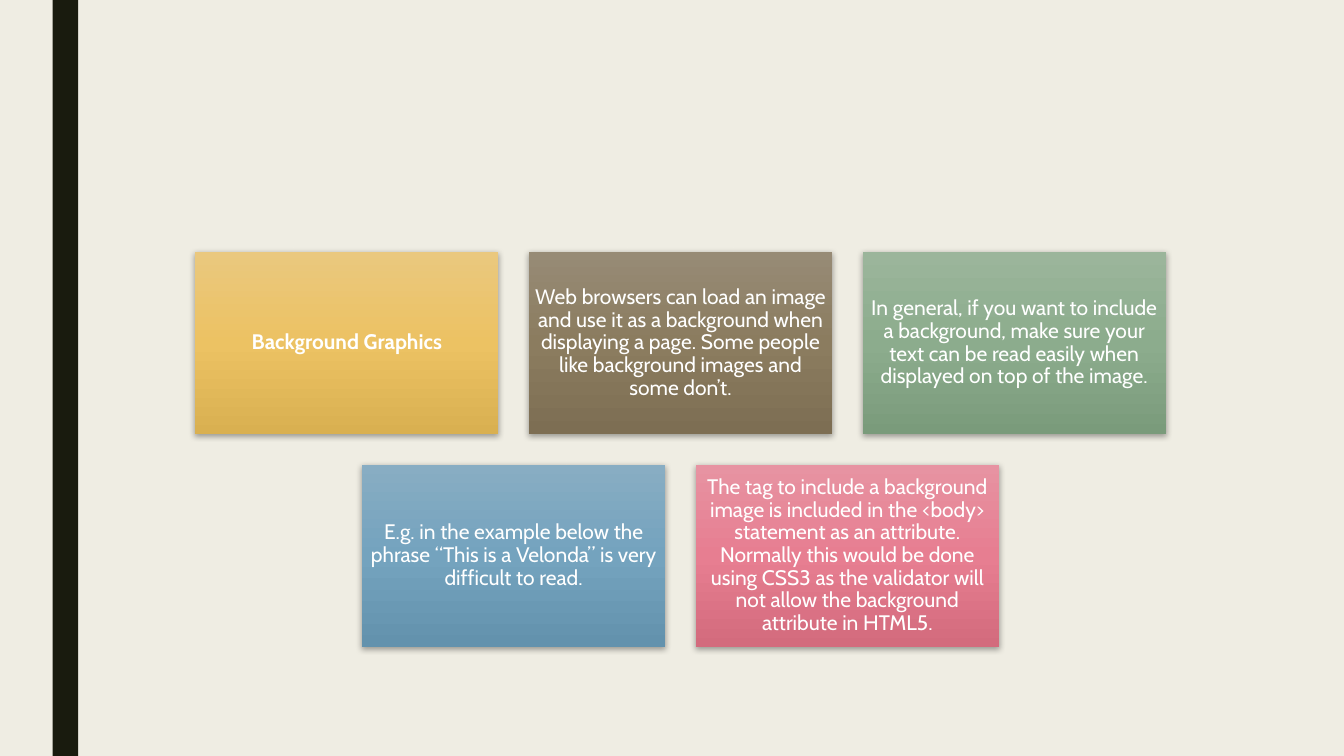
from copy import deepcopy
from dataclasses import dataclass

from lxml.etree import SubElement
from pptx import Presentation
from pptx.dml.color import RGBColor
from pptx.enum.shapes import MSO_SHAPE
from pptx.enum.text import MSO_ANCHOR, PP_ALIGN
from pptx.oxml.ns import qn
from pptx.util import Cm, Pt


@dataclass(frozen=True)
class Theme:
    """Colours and type of the slide."""

    background: str = "EFEDE3"
    bar: str = "191B0E"
    text: str = "FFFFFF"
    shadow: str = "000000"
    font: str = "Cabin"
    size: int = 15
    gold: tuple = ("EAC87E", "ECC263", "D9B051")
    brown: tuple = ("978B76", "8B7C5F", "7D6E53")
    green: tuple = ("9BB59B", "8CAC8D", "7A9B7B")
    blue: tuple = ("88ADC3", "74A3BE", "6392AD")
    pink: tuple = ("E793A2", "E77E91", "D36B7D")


class SlideBuilder:
    """Draws styled elements on the current slide."""

    def __init__(self, slide, theme):
        """Keep the slide and theme, and paint the background."""
        self.slide = slide
        self.theme = theme
        fill = slide.background.fill
        fill.solid()
        fill.fore_color.rgb = RGBColor.from_string(theme.background)

    def rectangle(self, left, top, width, height):
        """Add a rectangle with no line or shadow, measured in centimetres."""
        shape = self.slide.shapes.add_shape(
            MSO_SHAPE.RECTANGLE, Cm(left), Cm(top), Cm(width), Cm(height)
        )
        shape.line.fill.background()
        shape.shadow.inherit = False
        return shape

    def bar(self, left, top, width, height):
        """Add the solid vertical bar."""
        fill = self.rectangle(left, top, width, height).fill
        fill.solid()
        fill.fore_color.rgb = RGBColor.from_string(self.theme.bar)

    def gradient(self, shape, colors):
        """Fill a shape from top to bottom with evenly spaced colours."""
        shape.fill.gradient()
        shape.fill.gradient_angle = 270
        stop_list = shape._element.spPr.find(".//" + qn("a:gsLst"))
        stop_list.append(deepcopy(stop_list[-1]))
        for index, (stop, color) in enumerate(zip(shape.fill.gradient_stops, colors)):
            stop.position = index / (len(colors) - 1)
            stop.color.rgb = RGBColor.from_string(color)

    def drop_shadow(self, shape):
        """Add a soft shadow below a shape."""
        effects = shape._element.spPr.find(qn("a:effectLst"))
        shadow = SubElement(
            effects, qn("a:outerShdw"), blurRad=str(Pt(4.5)), dist=str(Pt(1.5)),
            dir="5400000", algn="ctr", rotWithShape="0",
        )
        color = SubElement(shadow, qn("a:srgbClr"), val=self.theme.shadow)
        SubElement(color, qn("a:alpha"), val="35000")

    def card(self, left, top, width, height, text, colors, bold=False):
        """Add a gradient card with centred text."""
        shape = self.rectangle(left, top, width, height)
        self.gradient(shape, colors)
        self.drop_shadow(shape)
        frame = shape.text_frame
        frame.word_wrap = True
        frame.vertical_anchor = MSO_ANCHOR.MIDDLE
        frame.margin_left = frame.margin_right = Cm(0.15)
        frame.margin_top = frame.margin_bottom = Cm(0.15)
        paragraph = frame.paragraphs[0]
        paragraph.text = text
        paragraph.alignment = PP_ALIGN.CENTER
        paragraph.line_spacing = 0.9
        font = paragraph.font
        font.name = self.theme.font
        font.size = Pt(self.theme.size)
        font.bold = bold
        font.color.rgb = RGBColor.from_string(self.theme.text)

    def card_rows(self, rows, center, top, width, height, gap):
        """Lay out rows of cards, each row centred on the same axis."""
        for row_index, row in enumerate(rows):
            row_width = len(row) * (width + gap) - gap
            row_top = top + row_index * (height + gap)
            for column, card in enumerate(row):
                left = center - row_width / 2 + column * (width + gap)
                self.card(left, row_top, width, height, *card)


def main():
    """Build and save the presentation."""
    theme = Theme()
    presentation = Presentation()
    presentation.slide_width = Cm(33.87)
    presentation.slide_height = Cm(19.05)
    slide = presentation.slides.add_slide(presentation.slide_layouts[6])
    rows = [
        [
            ("Background Graphics", theme.gold, True),
            ("Web browsers can load an image and use it as a background when "
             "displaying a page. Some people like background images and some "
             "don’t.", theme.brown),
            ("In general, if you want to include a background, make sure your "
             "text can be read easily when displayed on top of the image.",
             theme.green),
        ],
        [
            ("E.g. in the example below the phrase “This is a Velonda” is very "
             "difficult to read.", theme.blue),
            ("The tag to include a background image is included in the <body> "
             "statement as an attribute. Normally this would be done using CSS3 "
             "as the validator will not allow the background attribute in "
             "HTML5.", theme.pink),
        ],
    ]
    builder = SlideBuilder(slide, theme)
    builder.bar(1.33, 0, 0.64, 19.05)
    builder.card_rows(rows, center=17.15, top=6.35, width=7.64, height=4.59, gap=0.77)
    presentation.save("out.pptx")


if __name__ == "__main__":
    main()
